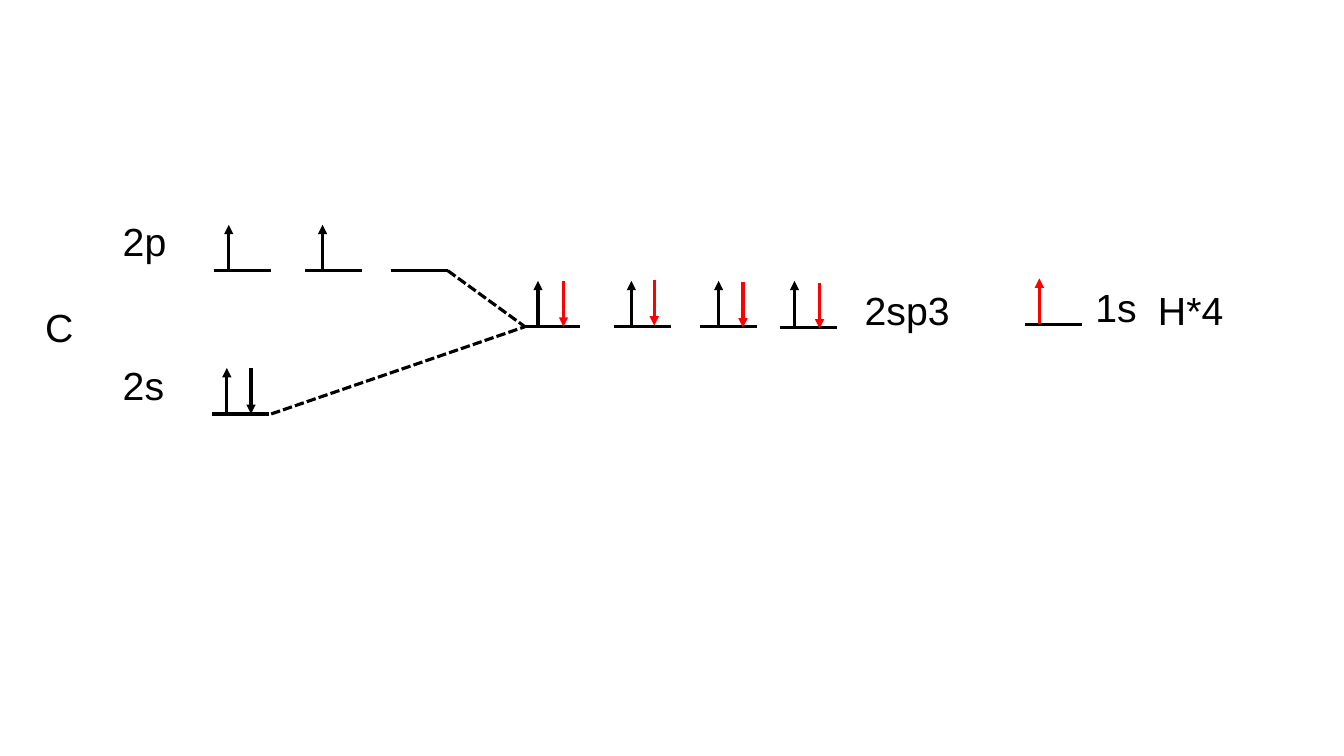
from lxml import etree
from pptx import Presentation
from pptx.dml.color import RGBColor
from pptx.enum.dml import MSO_LINE
from pptx.enum.shapes import MSO_CONNECTOR
from pptx.enum.text import MSO_ANCHOR, MSO_AUTO_SIZE
from pptx.oxml.ns import qn
from pptx.util import Pt

STRAIGHT = MSO_CONNECTOR.STRAIGHT
DASHED = MSO_LINE.SQUARE_DOT
TOP = MSO_ANCHOR.TOP
FIT_SHAPE = MSO_AUTO_SIZE.SHAPE_TO_FIT_TEXT

BLACK = "000000"
RED = "FF0000"
LEVEL_WIDTH = 40.7
ARROW_HEIGHT = 32.8


def colour(hex_string):
    return RGBColor.from_string(hex_string)


def write_text(paragraph, text, font="Arial", size=28, fill=BLACK):
    run = paragraph.add_run()
    run.text = text
    run.font.name = font
    run.font.size = Pt(size)
    run.font.color.rgb = colour(fill)


class OrbitalDiagram:
    """Draws energy levels, electrons and labels; lengths are in points."""

    line_width = 2.25
    label_height = 41.2

    def __init__(self, slide):
        self.slide = slide

    def line(self, start, end, fill=BLACK, dash=None, arrow=False):
        points = [Pt(value) for value in (*start, *end)]
        connector = self.slide.shapes.add_connector(STRAIGHT, *points)
        connector.line.color.rgb = colour(fill)
        connector.line.width = Pt(self.line_width)
        if dash is not None:
            connector.line.dash_style = dash
        if arrow:
            outline = connector.line._get_or_add_ln()
            etree.SubElement(outline, qn("a:tailEnd"), type="triangle")
        properties = connector._element.spPr
        etree.SubElement(properties, qn("a:effectLst"))

    def level(self, left, y):
        self.line((left, y), (left + LEVEL_WIDTH, y))

    def spin_up(self, x, y, fill=BLACK):
        self.line((x, y), (x, y - ARROW_HEIGHT), fill, arrow=True)

    def spin_down(self, x, y, fill=BLACK):
        self.line((x, y - ARROW_HEIGHT), (x, y), fill, arrow=True)

    def label(self, text, left, top, width):
        box = self.slide.shapes.add_textbox(
            Pt(left), Pt(top), Pt(width), Pt(self.label_height))
        frame = box.text_frame
        frame.word_wrap = False
        frame.auto_size = FIT_SHAPE
        frame.vertical_anchor = TOP
        write_text(frame.paragraphs[0], text)


def main():
    presentation = Presentation()
    presentation.slide_width = Pt(960)
    presentation.slide_height = Pt(540)
    slide = presentation.slides.add_slide(presentation.slide_layouts[6])
    diagram = OrbitalDiagram(slide)

    # Energy levels: 2p, 2s, 2sp3 and the hydrogen 1s
    p_y, s_y, hybrid_y, hydrogen_y = 193.4, 295.7, 233.4, 231.7
    for left, y in (
        (152.8, p_y), (218, p_y), (279.2, p_y),
        (151.3, s_y),
        (373.5, hybrid_y), (438.6, hybrid_y), (500, hybrid_y), (557, 234),
        (732, hydrogen_y),
    ):
        diagram.level(left, y)

    # Carbon electrons
    for x, y in (
        (163.4, p_y), (230.4, p_y), (162, s_y),
        (384.3, hybrid_y), (451, hybrid_y), (513.3, hybrid_y),
        (567.5, hybrid_y),
    ):
        diagram.spin_up(x, y)
    diagram.spin_down(179.3, s_y)

    # Hydrogen electrons, alone and shared
    diagram.spin_up(742.4, hydrogen_y, RED)
    for x, y in ((402.5, 233.4), (467.3, 232.6), (530.7, 234), (585.4, 234.7)):
        diagram.spin_down(x, y, RED)

    # Hybridisation links
    for start in ((193.7, s_y), (319.9, p_y)):
        diagram.line(start, (375, hybrid_y), dash=DASHED)

    # Labels
    for text, left, top, width in (
        ("2p", 80.6, 152, 46),
        ("2s", 80.6, 254.2, 44.6),
        ("2sp3", 610.6, 200.9, 76.3),
        ("C", 25.2, 213.1, 35.3),
        ("1s", 775.4, 198.7, 44.6),
        ("H*4", 820.1, 200.9, 61.9),
    ):
        diagram.label(text, left, top, width)

    presentation.save("out.pptx")


if __name__ == "__main__":
    main()
